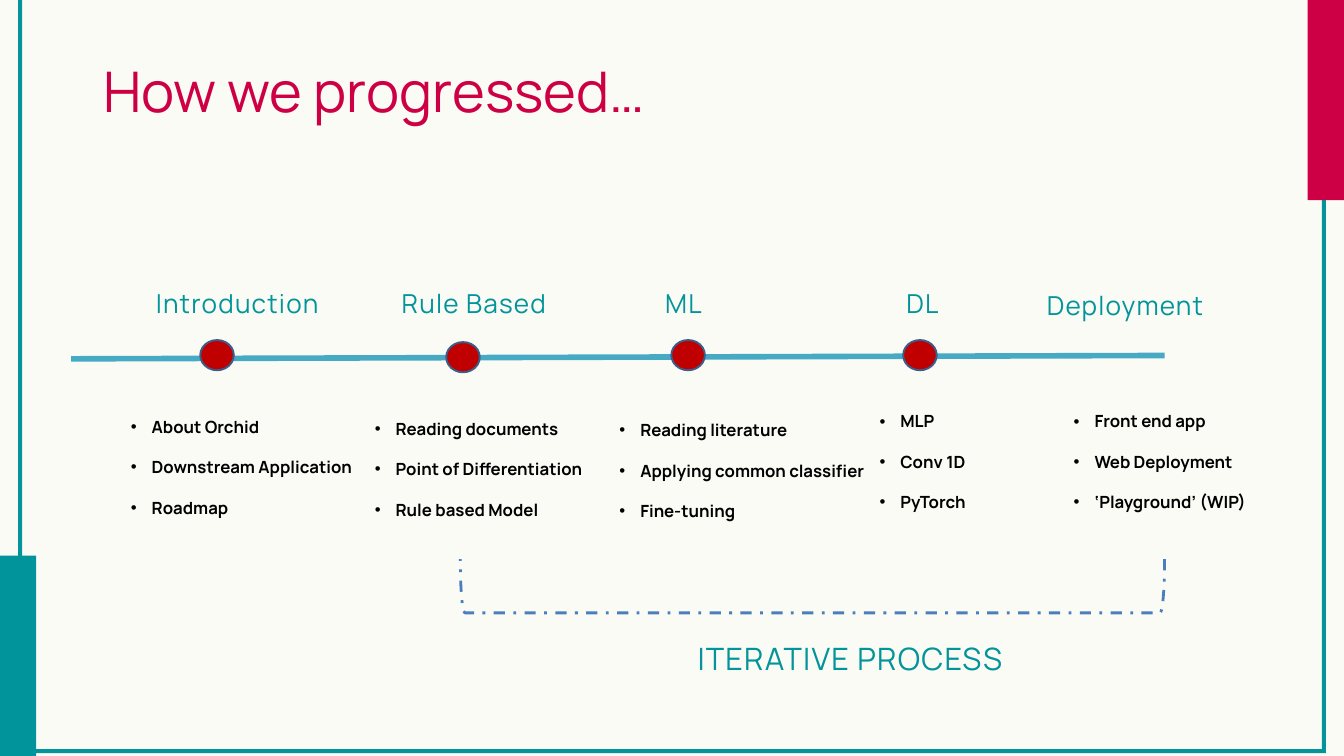
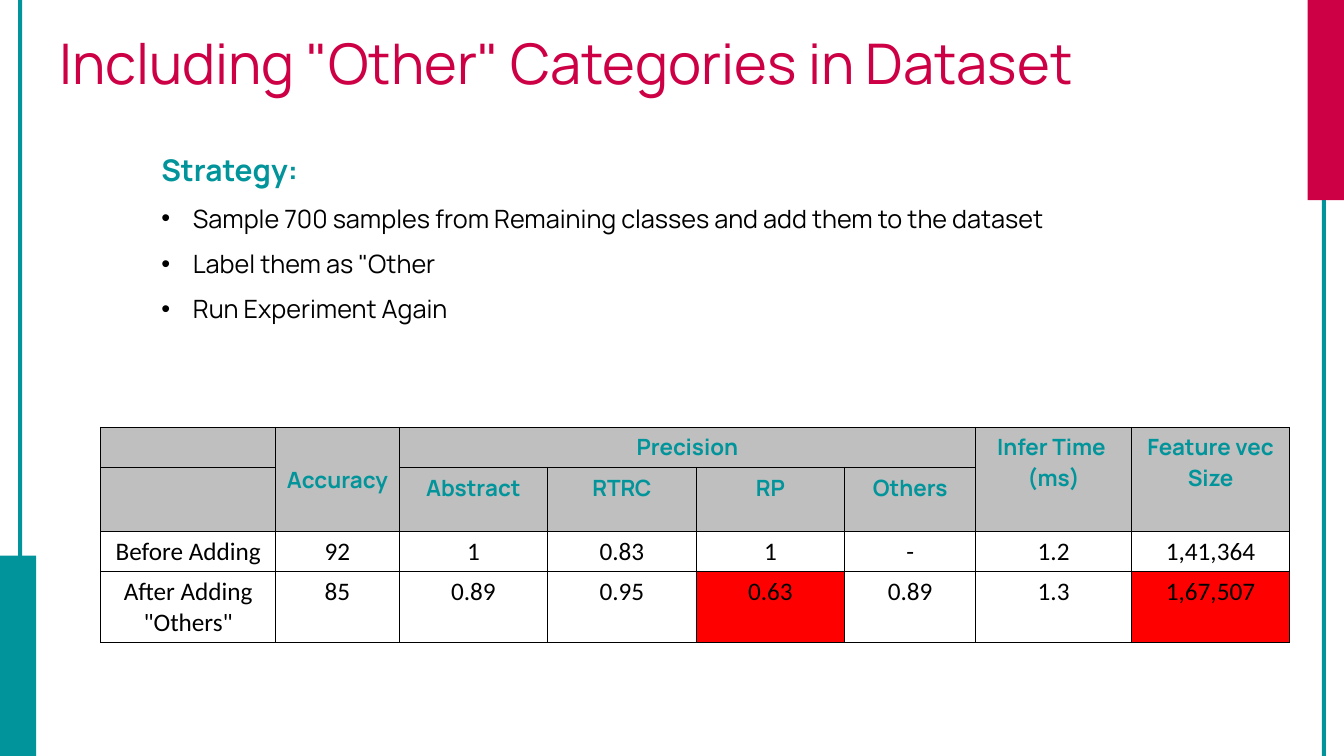
from lxml.etree import SubElement
from pptx import Presentation
from pptx.dml.color import RGBColor
from pptx.enum.dml import MSO_LINE as Dash
from pptx.enum.shapes import MSO_CONNECTOR as Connector, MSO_SHAPE as Shape
from pptx.enum.text import MSO_ANCHOR as Anchor, MSO_AUTO_SIZE as AutoSize, PP_ALIGN as Align
from pptx.oxml.ns import qn
from pptx.util import Inches, Pt

TEAL, CRIMSON, BLACK, WHITE = "01949A", "CD0046", "000000", "FFFFFF"
CREAM, GREY, RED, DOT_RED = "FBFBF5", "BFBFBF", "FF0000", "C00000"
DOT_EDGE, TIMELINE_BLUE, BRACKET_BLUE = "3A5F8C", "46AAC5", "4B7EBC"


def rgb(color):
    return RGBColor.from_string(color)


def style(size, color, bold=False, name="Manrope"):
    return {"size": Pt(size), "name": name, "bold": bold, "color": color}


TITLE = style(60, CRIMSON)
STAGE = style(28, TEAL)
STEP = style(18, BLACK, True)
LOOP = style(33, TEAL)
HEADING = style(32, TEAL, True)
POINT = style(27, BLACK)
HEADER = style(24, TEAL, True)
VALUE = style(27, BLACK, name="Calibri")

NO_INSETS = (0, 0, 0, 0)
SMALL_INSETS = (0.1, 0.05, 0.1, 0.05)
WIDE_INSETS = (0.15, 0.07, 0.15, 0.07)

STAGES = [
    ("Introduction", (2.22, 4.23, 2.87), (1.85, 5.85, 3.63),
     ["About Orchid", "Downstream Application", "Roadmap"]),
    ("Rule Based", (5.88, 4.23, 2.52), (5.48, 5.88, 3.63),
     ["Reading documents", "Point of Differentiation", "Rule based Model"]),
    ("ML", (9.8, 4.22, 1.67), (9.12, 5.9, 3.86),
     ["Reading literature", "Applying common classifier", "Fine-tuning"]),
    ("DL", (13.39, 4.23, 1.67), (12.99, 5.77, 3.86),
     ["MLP", "Conv 1D", "PyTorch"]),
    ("Deployment", (15.48, 4.25, 3), (15.88, 5.77, 3.86),
     ["Front end app", "Web Deployment", "‘Playground’ (WIP)"]),
]
DOTS = [(2.98, 5.06), (6.64, 5.09), (9.99, 5.06), (13.44, 5.06)]

STRATEGY = [
    "Sample 700 samples from Remaining classes and add them to the dataset",
    'Label them as "Other',
    "Run Experiment Again",
]
RESULTS = [
    ["", "Accuracy", "Precision", "", "", "", "Infer Time \n(ms)", "Feature vec Size"],
    ["", "", "Abstract", "RTRC", "RP", "Others", "", ""],
    ["Before Adding", "92", "1", "0.83", "1", "-", "1.2", "1,41,364"],
    ['After Adding "Others"', "85", "0.89", "0.95", "0.63", "0.89", "1.3", "1,67,507"],
]
HEADER_ROWS = 2
COLUMN_WIDTHS = [2.6, 1.84, 2.21, 2.21, 2.21, 1.95, 2.32, 2.35]
ROW_HEIGHTS = [0.6, 0.95, 0.6, 1.05]
MERGES = [((0, 1), (1, 1)), ((0, 2), (0, 5)), ((0, 6), (1, 6)), ((0, 7), (1, 7))]
WORSENED = {(3, 4), (3, 7)}


def write(paragraph, text, font, spacing=None):
    run = paragraph.add_run()
    run.text = text
    for attribute, value in font.items():
        if attribute == "color":
            run.font.color.rgb = rgb(value)
        else:
            setattr(run.font, attribute, value)
    if spacing:
        run._r.get_or_add_rPr().set("spc", str(round(spacing * 100)))


def set_insets(target, insets):
    for side, inset in zip(("left", "top", "right", "bottom"), insets):
        setattr(target, f"margin_{side}", Inches(inset))


def text_frame(slide, place, insets=SMALL_INSETS):
    frame = slide.shapes.add_textbox(*map(Inches, place)).text_frame
    frame.word_wrap = True
    frame.auto_size = AutoSize.SHAPE_TO_FIT_TEXT
    set_insets(frame, insets)
    return frame


def add_line(slide, place, text, font, insets=SMALL_INSETS, spacing=None, **layout):
    paragraph = text_frame(slide, place, insets).paragraphs[0]
    for attribute, value in layout.items():
        setattr(paragraph, attribute, value)
    write(paragraph, text, font, spacing)


def add_bullets(frame, items, font, indent, line_spacing):
    for item in items:
        first = frame.paragraphs[0]
        paragraph = frame.add_paragraph() if first.runs else first
        paragraph.line_spacing = line_spacing
        properties = paragraph._p.get_or_add_pPr()
        properties.set("marL", str(Inches(indent)))
        properties.set("indent", str(-Inches(indent)))
        SubElement(properties, qn("a:buFont")).set("typeface", "Arial")
        SubElement(properties, qn("a:buChar")).set("char", "•")
        write(paragraph, item, font)


def add_shape(slide, kind, place, fill=None, line=None, width=0):
    shape = slide.shapes.add_shape(kind, *map(Inches, place))
    paint(shape, fill, line, width)
    return shape


def paint(shape, fill, line=None, width=0):
    shape.shadow.inherit = False
    if fill:
        shape.fill.solid()
        shape.fill.fore_color.rgb = rgb(fill)
    else:
        shape.fill.background()
    if line:
        shape.line.color.rgb = rgb(line)
        shape.line.width = Pt(width)
    else:
        shape.line.fill.background()


def corners(left, top, right, bottom):
    return [(Inches(x), Inches(y)) for x, y in
            ((left, top), (left, bottom), (right, bottom), (right, top))]


def add_frame(slide, top):
    thickness = 0.06
    left, right, bottom = 0.27, 19.73, top + 11.73
    outer = corners(left, top, right, bottom)
    inner = corners(left + thickness, top + thickness, right - thickness, bottom - thickness)
    builder = slide.shapes.build_freeform(*outer[0], scale=1.0)
    builder.add_line_segments(outer[1:], close=True)
    builder.move_to(*inner[0])
    builder.add_line_segments(inner[1:], close=True)
    paint(builder.convert_to_shape(), TEAL)


def new_slide(deck, background, frame_top, title, title_place, title_align):
    slide = deck.slides.add_slide(deck.slide_layouts[6])
    slide.background.fill.solid()
    slide.background.fill.fore_color.rgb = rgb(background)
    add_frame(slide, frame_top)
    add_shape(slide, Shape.RECTANGLE, (19.46, 0, 0.54, 2.98), CRIMSON)
    add_shape(slide, Shape.RECTANGLE, (0, 8.27, 0.54, 2.98), TEAL)
    add_line(slide, title_place, title, TITLE, NO_INSETS,
             alignment=title_align, line_spacing=Pt(61.2))
    return slide


def build_progress(deck):
    slide = new_slide(deck, CREAM, -0.52, "How we progressed…",
                      (0.36, 0.99, 10.42, 0.86), Align.CENTER)
    timeline = slide.shapes.add_connector(
        Connector.STRAIGHT, *map(Inches, (1.06, 5.34, 17.33, 5.29)))
    timeline.line.color.rgb = rgb(TIMELINE_BLUE)
    timeline.line.width = Pt(6)
    SubElement(timeline._element.spPr, qn("a:effectLst"))
    for dot in DOTS:
        add_shape(slide, Shape.OVAL, (*dot, 0.5, 0.45), DOT_RED, DOT_EDGE, 2)
    for stage, label_place, steps_place, steps in STAGES:
        add_line(slide, (*label_place, 0.57), stage, STAGE, spacing=1.3)
        add_bullets(text_frame(slide, (*steps_place, 1.83)), steps, STEP, 0.31, 2.0)
    bracket = add_shape(slide, Shape.LEFT_BRACKET, (11.69, 3.48, 0.8, 10.48),
                        line=BRACKET_BLUE, width=3)
    bracket.rotation = 270
    bracket.line.dash_style = Dash.DASH_DOT
    add_line(slide, (9.11, 9.38, 7.08, 0.63), "ITERATIVE PROCESS", LOOP, NO_INSETS,
             spacing=1.3, alignment=Align.CENTER, line_spacing=Pt(49.5))


def add_borders(cell):
    properties = cell._tc.get_or_add_tcPr()
    for side in "LRTB":
        border = SubElement(properties, qn(f"a:ln{side}"), w=str(Pt(1)))
        fill = SubElement(border, qn("a:solidFill"))
        SubElement(fill, qn("a:srgbClr"), val=BLACK)


def add_results(slide):
    table = slide.shapes.add_table(
        len(RESULTS), len(COLUMN_WIDTHS), Inches(1.5), Inches(6.36),
        Inches(sum(COLUMN_WIDTHS)), Inches(sum(ROW_HEIGHTS))).table
    table.first_row = table.horz_banding = False
    for column, width in zip(table.columns, COLUMN_WIDTHS):
        column.width = Inches(width)
    for row, height in zip(table.rows, ROW_HEIGHTS):
        row.height = Inches(height)
    for r, values in enumerate(RESULTS):
        header = r < HEADER_ROWS
        for c, value in enumerate(values):
            cell = table.cell(r, c)
            add_borders(cell)
            cell.fill.solid()
            fill = GREY if header else RED if (r, c) in WORSENED else WHITE
            cell.fill.fore_color.rgb = rgb(fill)
            set_insets(cell, WIDE_INSETS)
            if not value:
                continue
            for i, line in enumerate(value.split("\n")):
                frame = cell.text_frame
                paragraph = frame.add_paragraph() if i else frame.paragraphs[0]
                paragraph.alignment = Align.CENTER
                write(paragraph, line, HEADER if header else VALUE)
    for first, last in MERGES:
        table.cell(*first).merge(table.cell(*last))
    table.cell(0, 1).vertical_anchor = Anchor.MIDDLE


def build_categories(deck):
    slide = new_slide(deck, WHITE, -0.18, 'Including "Other" Categories in Dataset',
                      (0.89, 0.58, 17.66, 0.86), Align.LEFT)
    strategy = text_frame(slide, (2.25, 2.19, 14.42, 2.65), WIDE_INSETS)
    write(strategy.paragraphs[0], "Strategy:", HEADING)
    add_bullets(strategy, STRATEGY, POINT, 0.47, 1.5)
    add_results(slide)


def main():
    deck = Presentation()
    deck.slide_width, deck.slide_height = Inches(20), Inches(11.25)
    build_progress(deck)
    build_categories(deck)
    deck.save("out.pptx")


if __name__ == "__main__":
    main()
